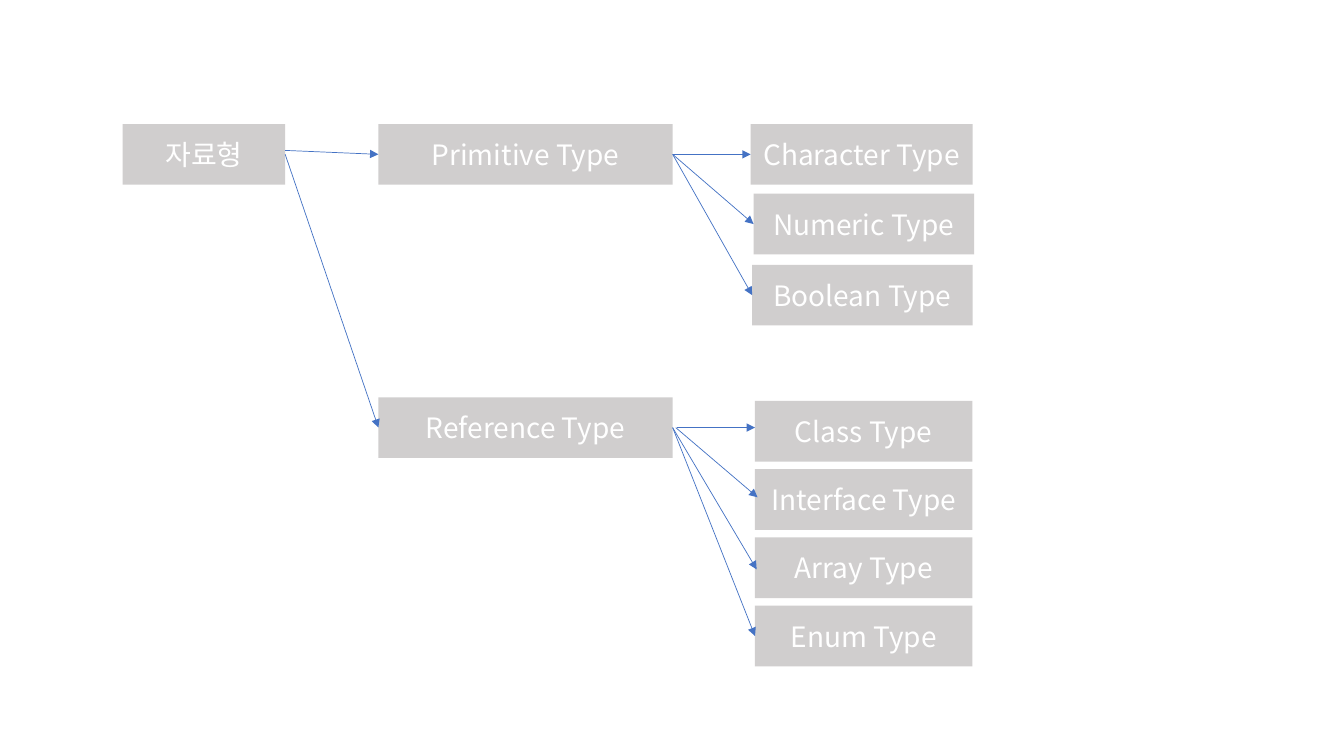
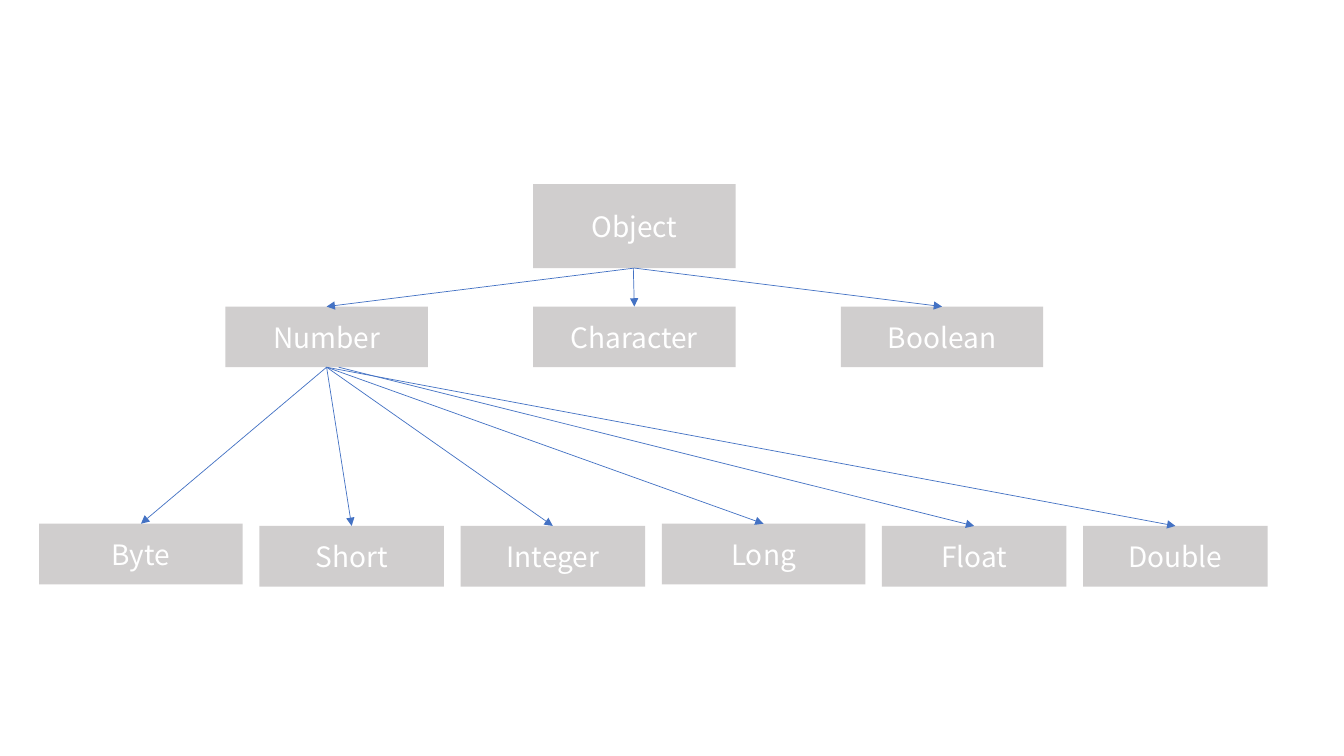
"""Build two slides with trees of data types."""
from itertools import accumulate

from lxml import etree
from pptx import Presentation
from pptx import util as u
from pptx.dml.color import RGBColor
from pptx.enum import shapes, text
from pptx.oxml.ns import qn

COLORS = {"box": "D0CECE", "text": "FFFFFF", "arrow": "4472C4"}
FONT = "Noto Sans CJK KR"
BOX_HEIGHT = 43.3
TOP, BOTTOM, LEFT, RIGHT = 0, 2, 1, 3


def color(name):
    """Return the named colour."""
    return RGBColor.from_string(COLORS[name])


def add_box(page, label, left, top, width, height=BOX_HEIGHT):
    """Draw a grey box with a centred label."""
    box = page.shapes.add_shape(
        shapes.MSO_SHAPE.RECTANGLE, u.Pt(left), u.Pt(top), u.Pt(width), u.Pt(height))
    box.shadow.inherit = False
    box.fill.solid()
    box.fill.fore_color.rgb = color("box")
    box.line.fill.background()
    frame = box.text_frame
    frame.text = label
    frame.vertical_anchor = text.MSO_ANCHOR.MIDDLE
    para = frame.paragraphs[0]
    para.alignment = text.PP_ALIGN.CENTER
    span = para.runs[0]
    span.font.size = u.Pt(20)
    span.font.name = FONT
    span.font.color.rgb = color("text")
    etree.SubElement(span.font._element, qn("a:ea"), typeface=FONT)
    return box


def site(box, side):
    """Return the middle of one side of a box."""
    middle, center = box.left + box.width // 2, box.top + box.height // 2
    return {TOP: (middle, box.top), BOTTOM: (middle, box.top + box.height),
            LEFT: (box.left, center), RIGHT: (box.left + box.width, center)}[side]


def add_arrow(page, parent, child, sides, shift=None):
    """Join two boxes, glued unless the ends are shifted by points."""
    ends = [*site(parent, sides[0]), *site(child, sides[1])]
    if shift:
        ends = [end + u.Pt(move) for end, move in zip(ends, shift)]
    arrow = page.shapes.add_connector(shapes.MSO_CONNECTOR.STRAIGHT, *ends)
    if not shift:
        arrow.begin_connect(parent, sides[0])
        arrow.end_connect(child, sides[1])
    arrow.line.width = u.Pt(0.5)
    arrow.line.color.rgb = color("arrow")
    etree.SubElement(arrow.line._get_or_add_ln(), qn("a:tailEnd"), type="triangle")
    etree.SubElement(arrow._element.spPr, qn("a:effectLst"))


def add_fan(page, parent, children, sides, shifts):
    """Draw an arrow from a parent to each child."""
    for index, child in enumerate(children):
        add_arrow(page, parent, child, sides, shifts.get(index))


def type_tree(page, left, top):
    """Draw the tree of data types from left to right."""
    sides = (RIGHT, LEFT)
    root = add_box(page, "자료형", left, top, 116)
    kinds = [add_box(page, label, left + 182.6, top + offset, 210.2)
             for label, offset in (("Primitive Type", 0), ("Reference Type", 195.2))]
    primitives = [
        add_box(page, f"{label} Type", left + indent, top + offset, width)
        for label, indent, offset, width in (
            ("Character", 448.5, 0, 158.5),
            ("Numeric", 450.6, 49.8, 157.6),
            ("Boolean", 449.6, 100.6, 157.4))]
    references = [
        add_box(page, f"{label} Type", left + 451.6, top + 197.8 + row * 48.75, 155.4)
        for row, label in enumerate(("Class", "Interface", "Array", "Enum"))]
    add_fan(page, root, kinds, sides, {0: (0, -2.8, 0, 0)})
    add_fan(page, kinds[0], primitives, sides, {})
    add_fan(page, kinds[1], references, sides, {
        0: (2.8, 0, 0, -2.6), 1: (2.2, 0, 1.8, -1.6), 2: (0, 0, 1.2, 1.2)})


def object_tree(page, left, top):
    """Draw the tree of classes from top to bottom."""
    sides = (BOTTOM, TOP)
    width, step, gap = 144.6, 219.8, 11.9
    root = add_box(page, "Object", left + 133 + step, top, width, 60)
    classes = [add_box(page, label, left + 133 + column * step, top + 87.5, width)
               for column, label in enumerate(("Number", "Character", "Boolean"))]
    names = ("Byte", "Short", "Integer", "Long", "Float", "Double")
    widths = (145.4, 131.8, 131.8) * 2
    starts = accumulate((size + gap for size in widths), initial=left)
    numbers = [
        add_box(page, label, start, top + (242.6 if index % 3 == 0 else 244.2), size)
        for index, (label, start, size) in enumerate(zip(names, starts, widths))]
    add_fan(page, root, classes, sides, {1: (-0.7, 0, 0, 0)})
    add_fan(page, classes[0], numbers, sides, {4: (8.6, 0, 0, 0)})


def main():
    """Build and save the deck."""
    deck = Presentation()
    deck.slide_width, deck.slide_height = u.Pt(960), u.Pt(540)
    for draw, left, top in ((type_tree, 87.7, 88.6), (object_tree, 28, 131.5)):
        draw(deck.slides.add_slide(deck.slide_layouts[6]), left, top)
    deck.save("out.pptx")


main()
